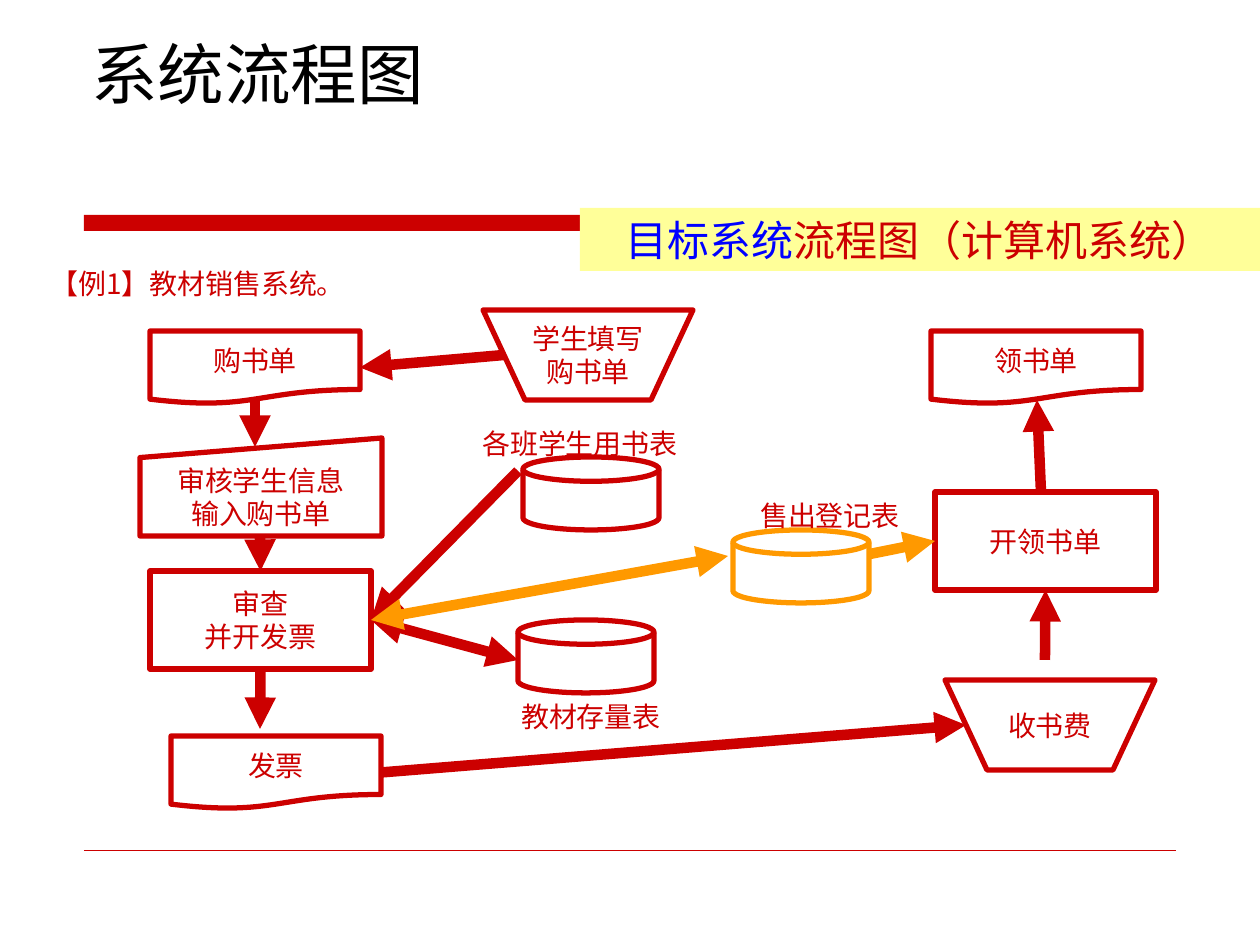
"""Build the textbook sales system flowchart slide."""
from lxml import etree
from pptx import Presentation
from pptx.dml.color import RGBColor
from pptx.enum.shapes import MSO_CONNECTOR, MSO_SHAPE
from pptx.enum.text import MSO_ANCHOR, PP_ALIGN
from pptx.oxml.ns import qn
from pptx.util import Emu, Pt

STRAIGHT = MSO_CONNECTOR.STRAIGHT
RECTANGLE = MSO_SHAPE.RECTANGLE
DOCUMENT = MSO_SHAPE.FLOWCHART_DOCUMENT
MANUAL_INPUT = MSO_SHAPE.FLOWCHART_MANUAL_INPUT
MANUAL_STEP = MSO_SHAPE.FLOWCHART_MANUAL_OPERATION
PROCESS = MSO_SHAPE.FLOWCHART_PROCESS
DISK = MSO_SHAPE.FLOWCHART_MAGNETIC_DISK
TOP, MIDDLE = MSO_ANCHOR.TOP, MSO_ANCHOR.MIDDLE
LEFT, CENTER = PP_ALIGN.LEFT, PP_ALIGN.CENTER
RED, ORANGE, BLACK, BLUE, YELLOW = "CC0000", "FF9900", "000000", "0000FF", "FFFF99"
SANS, SERIF = "Noto Sans CJK SC", "Times New Roman"
EMU_PER_PX = 914400 / 126


def px(*lengths):
    return [Emu(round(length * EMU_PER_PX)) for length in lengths]


def color(hex_code):
    return RGBColor.from_string(hex_code)


deck = Presentation()
deck.slide_width, deck.slide_height = px(1260, 945)
slide = deck.slides.add_slide(deck.slide_layouts[6])
shapes = slide.shapes

for bounds, fill in [((84, 215, 642, 16), RED), ((580, 208, 680, 63), YELLOW)]:
    band = shapes.add_shape(RECTANGLE, *px(*bounds))
    band.shadow.inherit = False
    band.fill.solid()
    band.fill.fore_color.rgb = color(fill)
    band.line.fill.background()

steps = {}
for key, kind, bounds, outline, wording in [
    ("order", DOCUMENT, (150, 331, 210, 73), RED, "购书单"),
    ("entry", MANUAL_INPUT, (140, 438, 242, 98), RED, "审核学生信息\n输入购书单"),
    ("check", PROCESS, (150, 571, 221, 98), RED, "审查\n并开发票"),
    ("stock", DISK, (518, 620, 136, 73), RED, ""),
    ("invoice", DOCUMENT, (171, 736, 210, 73), RED, "发票"),
    ("payment", MANUAL_STEP, (945, 680, 210, 90), RED, "收书费"),
    ("pickup", DOCUMENT, (931, 331, 210, 73), RED, "领书单"),
    ("issue", PROCESS, (935, 492, 221, 98), RED, "开领书单"),
    ("sales", DISK, (733, 530, 136, 73), ORANGE, ""),
    ("form", MANUAL_STEP, (483, 310, 210, 90), RED, "学生填写\n购书单"),
    ("class list", DISK, (523, 457, 136, 73), RED, ""),
]:
    step = steps[key] = shapes.add_shape(kind, *px(*bounds))
    step.shadow.inherit = False
    step.fill.background()
    step.line.color.rgb = color(outline)
    step.line.width = Pt(3)
    frame = step.text_frame
    frame.word_wrap = False
    frame.vertical_anchor = MIDDLE
    if wording:
        frame.text = wording
    for paragraph in frame.paragraphs:
        paragraph.alignment = CENTER
        for run in paragraph.runs:
            for attribute, value in {"size": Pt(16), "name": SERIF}.items():
                setattr(run.font, attribute, value)
            run.font.color.rgb = color(RED)

plain = {"alignment": LEFT}
spaced = {"alignment": LEFT, "line_spacing": 1.2, "space_before": Pt(4)}
centered = {"alignment": CENTER}
for bounds, layout, size, font, pieces in [
    ((79, 27, 1103, 110), plain, 38, SANS, [("系统流程图", BLACK)]),
    ((38, 254, 1192, 564), spaced, 16, SANS, [("【例1】教材销售系统。", RED)]),
    ((580, 208, 680, 63), centered, 24, SERIF,
     [("目标系统", BLUE), ("流程图（计算机系统）", RED)]),
    ((381, 693, 420, 47), centered, 16, SERIF, [("教材存量表", RED)]),
    ((620, 492, 420, 47), centered, 16, SERIF, [("售出登记表", RED)]),
    ((370, 420, 420, 47), centered, 16, SERIF, [("各班学生用书表", RED)]),
]:
    frame = shapes.add_textbox(*px(*bounds)).text_frame
    frame.word_wrap = True
    frame.vertical_anchor = TOP
    paragraph = frame.paragraphs[0]
    for attribute, value in layout.items():
        setattr(paragraph, attribute, value)
    for wording, ink in pieces:
        run = paragraph.add_run()
        run.text = wording
        for attribute, value in {"size": Pt(size), "name": font}.items():
            setattr(run.font, attribute, value)
        run.font.color.rgb = color(ink)

END, BOTH, NONE = ["tailEnd"], ["headEnd", "tailEnd"], []
for ends, ink, weight, arrowheads, start_joint, end_joint in [
    ((84, 850, 1176, 850), RED, 0.25, NONE, None, None),
    ((255, 400, 255, 447), RED, 6, END, None, None),
    ((260, 537, 260, 571), RED, 6, END, None, ("check", 0)),
    ((518, 471, 371, 620), RED, 6, END, None, ("check", 3)),
    ((518, 660, 371, 620), RED, 6, BOTH, None, ("check", 3)),
    ((260, 669, 260, 729), RED, 6, END, ("check", 2), None),
    ((381, 772, 966, 725), RED, 6, END, ("invoice", 3), None),
    ((1041, 492, 1037, 400), RED, 6, END, None, None),
    ((870, 554, 935, 541), ORANGE, 6, END, None, ("issue", 1)),
    ((728, 556, 371, 620), ORANGE, 6, BOTH, None, ("check", 3)),
    ((1045, 660, 1045, 590), RED, 6, END, None, ("issue", 2)),
    ((504, 355, 360, 367), RED, 6, END, None, ("order", 3)),
]:
    flow = shapes.add_connector(STRAIGHT, *px(*ends))
    flow.line.color.rgb = color(ink)
    flow.line.width = Pt(weight)
    for joint, connect in [(start_joint, flow.begin_connect), (end_joint, flow.end_connect)]:
        if joint:
            connect(steps[joint[0]], joint[1])
    properties = flow._element.spPr
    for arrowhead in arrowheads:
        etree.SubElement(properties.find(qn("a:ln")), qn("a:" + arrowhead), type="triangle")
    etree.SubElement(properties, qn("a:effectLst"))

deck.save("out.pptx")
